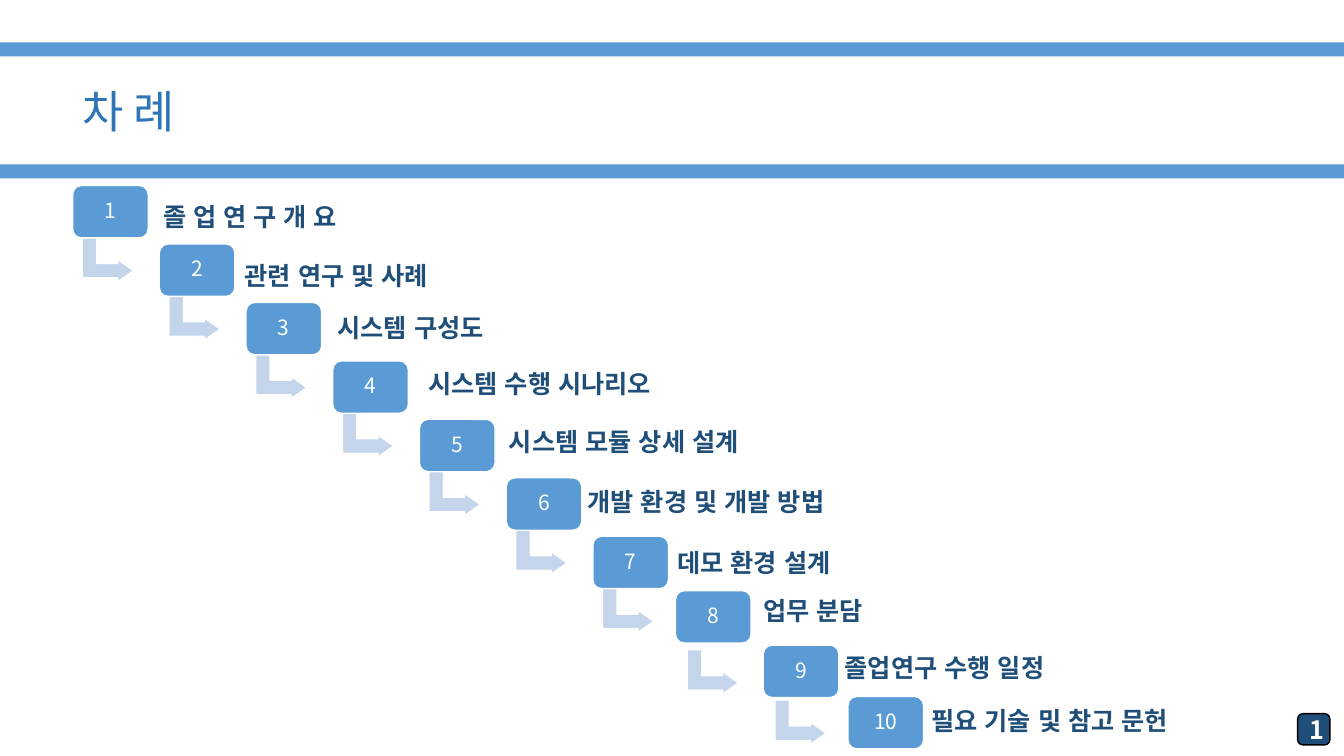
from lxml.etree import SubElement
from pptx import Presentation
from pptx.dml.color import RGBColor
from pptx.enum.shapes import MSO_SHAPE as Shape
from pptx.enum.text import MSO_ANCHOR as Anchor, PP_ALIGN as Align
from pptx.oxml.ns import qn
from pptx.util import Inches, Pt

BLUE = RGBColor(0x5B, 0x9B, 0xD5)
TITLE_BLUE = RGBColor(0x2E, 0x75, 0xB6)
NAVY = RGBColor(0x1F, 0x4E, 0x79)
PALE_BLUE = RGBColor(0xC4, 0xD5, 0xEB)
WHITE = RGBColor(0xFF, 0xFF, 0xFF)
BLACK = RGBColor(0x00, 0x00, 0x00)

KOREAN_FONT = "Noto Sans CJK KR"
LABEL_FONT = "Arial"

SLIDE_W, SLIDE_H = 13.33, 7.5
BAND_H = 0.14
BOX_W, BOX_H = 0.75, 0.52
ARROW_W, ARROW_H = 0.44, 0.51
STEP_X, STEP_Y = 0.86, 0.58
REGULAR_STEPS = 7
ARROW_SHIFT = (0.13, 0.48)

# Label, its width, and its shift from the corner of the numbered box
CHAPTERS = [
    ("졸 업 연 구 개 요", 2.16, (0.80, 0.11)),
    ("관련 연구 및 사례", 2.24, (0.75, 0.11)),
    ("시스템 구성도", 1.81, (0.81, 0.05)),
    ("시스템 수행 시나리오", 2.65, (0.85, 0.03)),
    ("시스템 모듈 상세 설계", 2.74, (0.79, 0.02)),
    ("개발 환경 및 개발 방법", 2.83, (0.71, 0.04)),
    ("데모 환경 설계", 1.90, (0.74, 0.06)),
    ("업무 분담", 1.30, (0.77, 0)),
    ("졸업연구 수행 일정", 2.40, (0.71, 0.02)),
    ("필요 기술 및 참고 문헌", 2.83, (0.73, 0.04)),
]
# The last steps are tighter: corner of the box, shift of the arrow below it
TIGHT_STEPS = [
    ((6.70, 5.86), (0.15, 0.55)),
    ((7.57, 6.40), (0.15, 0.51)),
    ((8.41, 6.91), None),
]


def add_block(slide, preset, box, fill, line=None):
    block = slide.shapes.add_shape(preset, *map(Inches, box))
    block.shadow.inherit = False
    block.fill.solid()
    block.fill.fore_color.rgb = fill
    if line is None:
        block.line.fill.background()
    else:
        block.line.color.rgb = line
        block.line.width = Pt(1)
    return block


def write(paragraph, words, size, color, font, bold=False):
    run = paragraph.add_run()
    run.text = words
    run.font.size = Pt(size)
    run.font.bold = bold
    run.font.name = font
    run.font.color.rgb = color
    SubElement(run.font._element, qn("a:ea")).set("typeface", font)


def add_line_of_text(slide, box, words, size, color, font, bold=False):
    frame = slide.shapes.add_textbox(*map(Inches, box)).text_frame
    frame.word_wrap = False
    write(frame.paragraphs[0], words, size, color, font, bold)


def write_centred(block, words, size, bold=False):
    frame = block.text_frame
    frame.vertical_anchor = Anchor.MIDDLE
    paragraph = frame.paragraphs[0]
    paragraph.alignment = Align.CENTER
    write(paragraph, words, size, WHITE, KOREAN_FONT, bold)
    return paragraph


def add_header(slide, left, top, width, height):
    """Title between two bands at the top and bottom of the region."""
    for band_top in (top + height - BAND_H, top):
        add_block(slide, Shape.RECTANGLE, (left, band_top, width, BAND_H), BLUE)
    add_line_of_text(slide, (left + 0.72, top + 0.36, 1.25, 0.64),
                     "차 례", 32, TITLE_BLUE, KOREAN_FONT)


def add_page_number(slide, left, top, width, height):
    badge = add_block(slide, Shape.ROUNDED_RECTANGLE,
                      (left, top, width, height), NAVY, BLACK)
    write_centred(badge, "1", 18, bold=True)


def add_arrow(slide, left, top):
    arrow = add_block(slide, Shape.BENT_UP_ARROW,
                      (left, top, ARROW_W, ARROW_H), PALE_BLUE, WHITE)
    arrow.rotation = 90
    for index, share in enumerate((0.328, 0.25, 0.358)):
        arrow.adjustments[index] = share


def add_number_box(slide, left, top, number):
    number_box = add_block(slide, Shape.ROUNDED_RECTANGLE,
                           (left, top, BOX_W, BOX_H), BLUE, WHITE)
    number_box.adjustments[0] = 0.167
    frame = number_box.text_frame
    frame.margin_left = frame.margin_right = Inches(0.09)
    frame.margin_top = frame.margin_bottom = Inches(0.09)
    paragraph = write_centred(number_box, str(number), 15)
    paragraph.line_spacing = 0.9
    paragraph.space_after = Pt(5.25)


def add_staircase(slide, left, top):
    """Numbered chapters going down to the right, linked by bent arrows."""
    regular_steps = [((left + i * STEP_X, top + i * STEP_Y), ARROW_SHIFT)
                     for i in range(REGULAR_STEPS)]
    steps = zip(CHAPTERS, regular_steps + TIGHT_STEPS)
    for number, (chapter, ((x, y), arrow_shift)) in enumerate(steps, 1):
        label, label_w, (label_dx, label_dy) = chapter
        if arrow_shift:
            add_arrow(slide, x + arrow_shift[0], y + arrow_shift[1])
        add_number_box(slide, x, y, number)
        add_line_of_text(slide, (x + label_dx, y + label_dy, label_w, 0.4),
                         label, 18, NAVY, LABEL_FONT, bold=True)


def main():
    deck = Presentation()
    deck.slide_width, deck.slide_height = Inches(SLIDE_W), Inches(SLIDE_H)
    contents = deck.slides.add_slide(deck.slide_layouts[6])

    add_header(contents, 0, 0.42, SLIDE_W, 1.35)
    add_page_number(contents, 12.87, 7.08, 0.32, 0.31)
    add_staircase(contents, 0.72, 1.84)

    deck.save("out.pptx")


if __name__ == "__main__":
    main()
